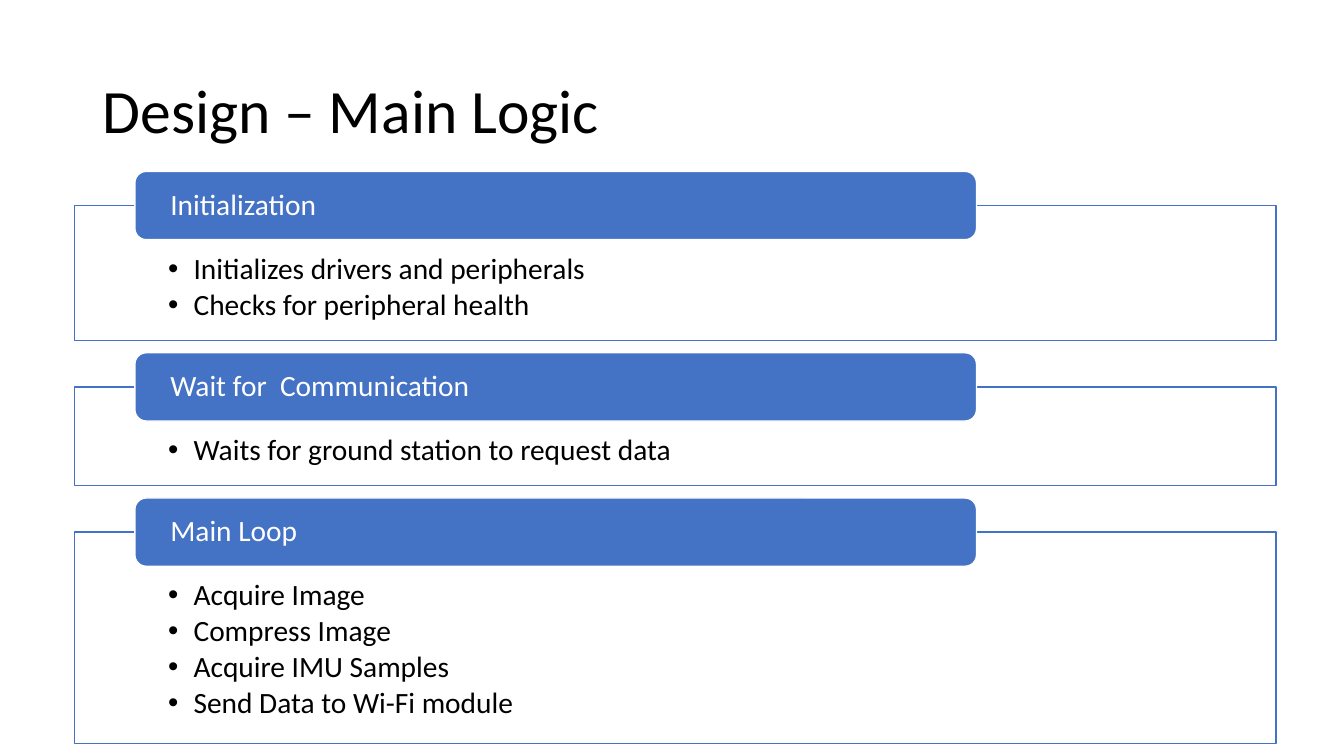
from dataclasses import dataclass

from lxml.etree import SubElement
from pptx import Presentation
from pptx.dml.color import RGBColor
from pptx.enum.shapes import MSO_SHAPE as SHAPE
from pptx.enum.text import MSO_ANCHOR as ANCHOR, PP_ALIGN as ALIGN
from pptx.oxml.ns import qn
from pptx.util import Cm, Pt


@dataclass(frozen=True)
class Theme:
    font: str = "Calibri"
    blue: RGBColor = RGBColor(0x44, 0x72, 0xC4)
    white: RGBColor = RGBColor(0xFF, 0xFF, 0xFF)
    black: RGBColor = RGBColor(0, 0, 0)
    title: int = 44
    text: int = 21


T = Theme()

STAGES = [  # heading, panel height in cm, steps
    ("Initialization", 3.4,
     ["Initializes drivers and peripherals", "Checks for peripheral health"]),
    ("Wait for  Communication", 2.49,
     ["Waits for ground station to request data"]),
    ("Main Loop", 5.33,
     ["Acquire Image", "Compress Image", "Acquire IMU Samples",
      "Send Data to Wi-Fi module"]),
]
PANEL_LEFT, PANEL_WIDTH, PANEL_GAP = 1.88, 30.28, 1.17
HEADER_LEFT, HEADER_WIDTH, HEADER_HEIGHT = 3.4, 21.21, 1.72


def write(tf, lines, size=T.text, color=T.black, anchor=ANCHOR.MIDDLE,
          margins=None, bullet=False, after=0):
    """Fill a text frame with one left-aligned paragraph per line; margins in cm."""
    tf.word_wrap = True
    tf.vertical_anchor = anchor
    if margins:
        side, top, bottom = margins
        tf.margin_left = tf.margin_right = Cm(side)
        tf.margin_top, tf.margin_bottom = Cm(top), Cm(bottom)
    for i, line in enumerate(lines):
        p = tf.paragraphs[0] if i == 0 else tf.add_paragraph()
        if bullet:
            p.level = 1
            pPr = p._p.get_or_add_pPr()
            pPr.set("marL", str(Cm(0.64)))
            pPr.set("indent", str(Cm(-0.64)))
            SubElement(pPr, qn("a:buFont"), typeface="Arial")
            SubElement(pPr, qn("a:buChar"), char="•")
        p.alignment = ALIGN.LEFT
        p.line_spacing = 0.9
        p.space_before, p.space_after = Pt(0), Pt(after)
        r = p.add_run()
        r.text = line
        r.font.name, r.font.size = T.font, Pt(size)
        r.font.color.rgb = color


def add_box(s, kind, left, top, width, height, fill, line):
    sp = s.shapes.add_shape(kind, Cm(left), Cm(top), Cm(width), Cm(height))
    sp.shadow.inherit = False
    sp.fill.solid()
    sp.fill.fore_color.rgb = fill
    sp.line.color.rgb = line
    sp.line.width = Pt(1)
    return sp


prs = Presentation()
prs.slide_width, prs.slide_height = Cm(33.87), Cm(19.05)
s = prs.slides.add_slide(prs.slide_layouts[5])

title = s.shapes.title
title.left, title.top, title.width, title.height = Cm(2.33), Cm(1.01), Cm(29.21), Cm(3.68)
write(title.text_frame, ["Design – Main Logic"], size=T.title)

top = 5.18
for heading, height, steps in STAGES:
    panel = add_box(s, SHAPE.RECTANGLE, PANEL_LEFT, top, PANEL_WIDTH, height,
                    T.white, T.blue)
    write(panel.text_frame, steps, anchor=ANCHOR.TOP, margins=(2.36, 1.22, 0.41),
          bullet=True, after=3)

    header = add_box(s, SHAPE.ROUNDED_RECTANGLE, HEADER_LEFT, top - HEADER_HEIGHT / 2,
                     HEADER_WIDTH, HEADER_HEIGHT, T.blue, T.white)
    write(header.text_frame, [heading], color=T.white, margins=(0.81, 0, 0))
    top += height + PANEL_GAP

prs.save("out.pptx")
